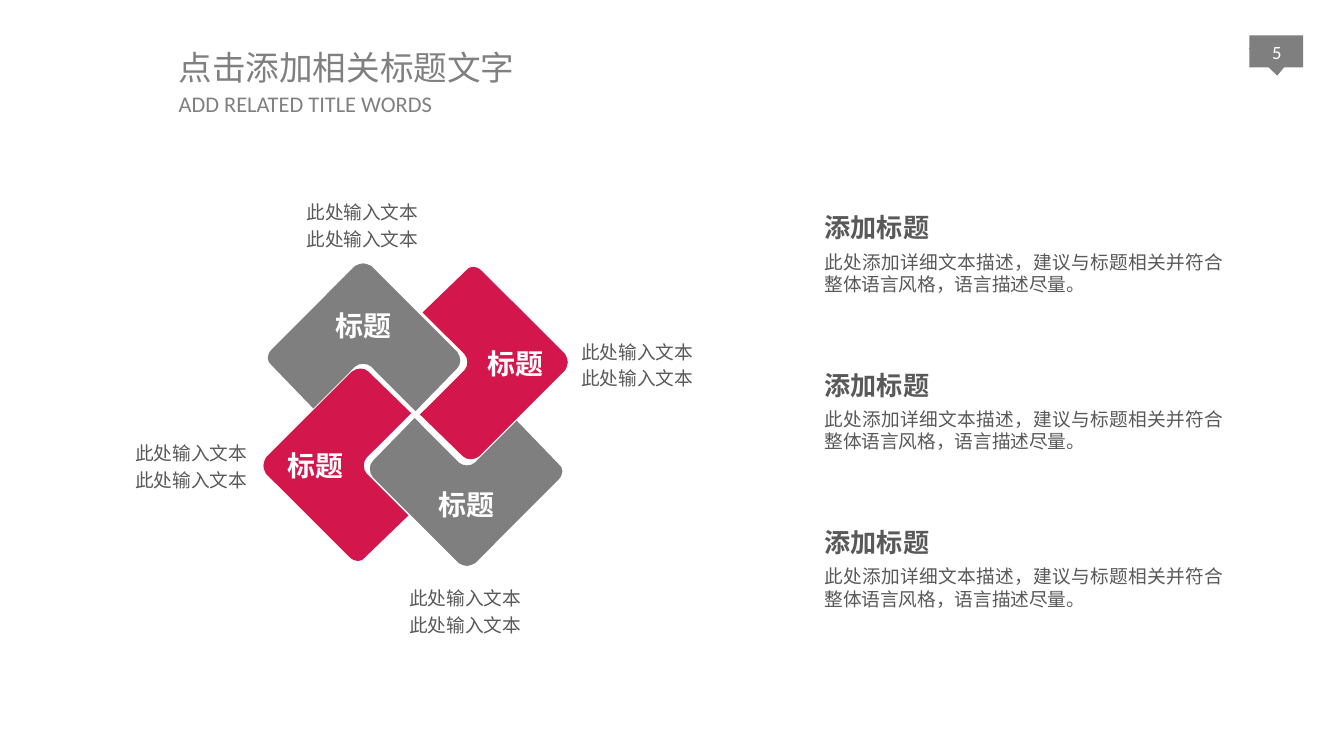
import pptx
import pptx.dml.color
import pptx.enum.shapes
import pptx.enum.text
import pptx.oxml.ns
import pptx.util
import lxml.etree

Pt = pptx.util.Pt
RGB = pptx.dml.color.RGBColor
KIND = pptx.enum.shapes.MSO_SHAPE
ALIGN = pptx.enum.text.PP_ALIGN
ANCHOR = pptx.enum.text.MSO_ANCHOR
SIZE = pptx.enum.text.MSO_AUTO_SIZE
qn = pptx.oxml.ns.qn

RED = RGB(0xD3, 0x17, 0x4D)
GREY = RGB(0x7F, 0x7F, 0x7F)
HEAD = RGB(0x80, 0x80, 0x80)
DARK = RGB(0x59, 0x59, 0x59)
WHITE = RGB(0xFF, 0xFF, 0xFF)
SANS = "Noto Sans CJK SC"
LATIN = "Calibri"


def write(shape, lines, look, align=ALIGN.LEFT, pads=(7.2, 3.6, 7.2, 3.6), space=None, **form):
    """Fill a shape with paragraphs; pads are left, top, right, bottom; form holds frame values."""
    frame = shape.text_frame
    sides = ("margin_left", "margin_top", "margin_right", "margin_bottom")
    form = {"word_wrap": True, **form, **dict(zip(sides, map(Pt, pads)))}
    for key, value in form.items():
        setattr(frame, key, value)
    for i, line in enumerate(lines):
        para = frame.add_paragraph() if i else frame.paragraphs[0]
        para.alignment = align
        if space:
            para.line_spacing = space
        run = para.add_run()
        run.text = line
        for key, value in look.items():
            if key == "color":
                run.font.color.rgb = value
            else:
                setattr(run.font, key, value)
        east = lxml.etree.SubElement(run.font._element, qn("a:ea"))
        east.set("typeface", look["name"])


def paint(shape, color):
    shape.shadow.inherit = False
    shape.fill.solid()
    shape.fill.fore_color.rgb = color
    shape.line.fill.background()


deck = pptx.Presentation()
deck.slide_width, deck.slide_height = Pt(720), Pt(405)
slide = deck.slides.add_slide(deck.slide_layouts[6])
shapes = slide.shapes

# Page number flag
for kind, top, tall, turn in ((KIND.RECTANGLE, 18.9, 17.2, 0),
                              (KIND.ISOSCELES_TRIANGLE, 25, 15.5, 176.8)):
    flag = shapes.add_shape(kind, Pt(669.4), Pt(top), Pt(28.8), Pt(tall))
    flag.rotation = turn
    paint(flag, GREY)
page = shapes.add_textbox(Pt(670.8), Pt(15.8), Pt(26.6), Pt(27.4))
write(page, ["5"], {"size": Pt(10), "name": LATIN, "color": WHITE}, ALIGN.CENTER,
      (0, 0, 0, 3.6), vertical_anchor=ANCHOR.MIDDLE)

# Headings
for text, top, wide, tall, size, name in (
        ("点击添加相关标题文字", 20.9, 197.3, 29.5, 18, SANS),
        ("ADD RELATED TITLE WORDS", 44.1, 152.6, 22.3, 12, LATIN)):
    box = shapes.add_textbox(Pt(87.8), Pt(top), Pt(wide), Pt(tall))
    write(box, [text], {"size": Pt(size), "name": name, "color": HEAD},
          pads=(7.9, 4, 7.9, 4), word_wrap=False, auto_size=SIZE.SHAPE_TO_FIT_TEXT)

# Top tile around its hub: one point ends a line, three give a curve
START = (-28.4, -81)
EDGES = (
    ((-27, -81), (-25.6, -80.3), (-24.1, -79.6)),
    ((22, -33.5),),
    ((24.1, -30.6), (24.1, -27), (22, -24.8)),
    ((-0.4, -1.8),),
    ((-24.1, -25.6),),
    ((-26.3, -27.7), (-30.6, -27.7), (-32.8, -25.6)),
    ((-55.1, -3.2),),
    ((-77.4, -26.3),),
    ((-80.3, -28.4), (-80.3, -32), (-77.4, -34.9)),
    ((-32.8, -79.6),),
    ((-31.3, -80.3), (-29.9, -81), START),
)
dots = [START] + [dot for edge in EDGES for dot in edge]

# Each tile is the one before it after a quarter turn clockwise
label = {"size": Pt(15), "bold": True, "name": SANS, "color": WHITE}
for hub_x, hub_y, color, align, pads in (
        (223, 222.1, GREY, ALIGN.CENTER, (0, 0, 0, 13)),
        (223.2, 222.5, RED, ALIGN.RIGHT, (0, 0, 13, 0)),
        (221.7, 222.2, GREY, ALIGN.CENTER, (0, 13, 0, 0)),
        (222.1, 221, RED, ALIGN.LEFT, (13, 0, 0, 0))):
    spots = [(Pt(hub_x + x), Pt(hub_y + y)) for x, y in dots]
    pen = shapes.build_freeform(*spots[0])
    pen.add_line_segments(spots[1:], close=True)
    tile = pen.convert_to_shape()
    # Merge the three line steps of every curve into one Bezier step
    steps = iter(list(tile._element.iter(qn("a:lnTo"))))
    for edge in EDGES:
        group = [next(steps) for dot in edge]
        if len(group) == 3:
            group[0].tag = qn("a:cubicBezTo")
            for step in group[1:]:
                group[0].append(step[0])
                step.getparent().remove(step)
    paint(tile, color)
    write(tile, ["标题"], label, align, pads, vertical_anchor=ANCHOR.MIDDLE)
    dots = [(-y, x) for x, y in dots]

# Notes beside the tiles
small = {"size": Pt(10), "name": SANS, "color": DARK}
for left, top, align in ((306.4, 176.4, ALIGN.LEFT), (195.8, 308.6, ALIGN.CENTER),
                         (140.7, 101.5, ALIGN.CENTER), (30.6, 230.8, ALIGN.RIGHT)):
    note = shapes.add_textbox(Pt(left), Pt(top), Pt(106.6), Pt(36))
    write(note, ["此处输入文本"] * 2, small, align, (5, 2.9, 5, 2.9), 1.2,
          vertical_anchor=ANCHOR.MIDDLE)

# Text blocks on the right
bold = {"size": Pt(14), "bold": True, "name": SANS, "color": DARK}
for row in range(3):
    top = 109.9 + 84.3 * row
    block = shapes.add_group_shape().shapes
    for text, drop, wide, tall, look, align in (
            ("添加标题", 0, 157.7, 24.5, bold, ALIGN.LEFT),
            ("此处添加详细文本描述，建议与标题相关并符合整体语言风格，语言描述尽量。",
             20.7, 227.5, 31.7, small, ALIGN.JUSTIFY)):
        box = block.add_textbox(Pt(434.7), Pt(top + drop), Pt(wide), Pt(tall))
        write(box, [text], look, align, auto_size=SIZE.SHAPE_TO_FIT_TEXT)

deck.save("out.pptx")
